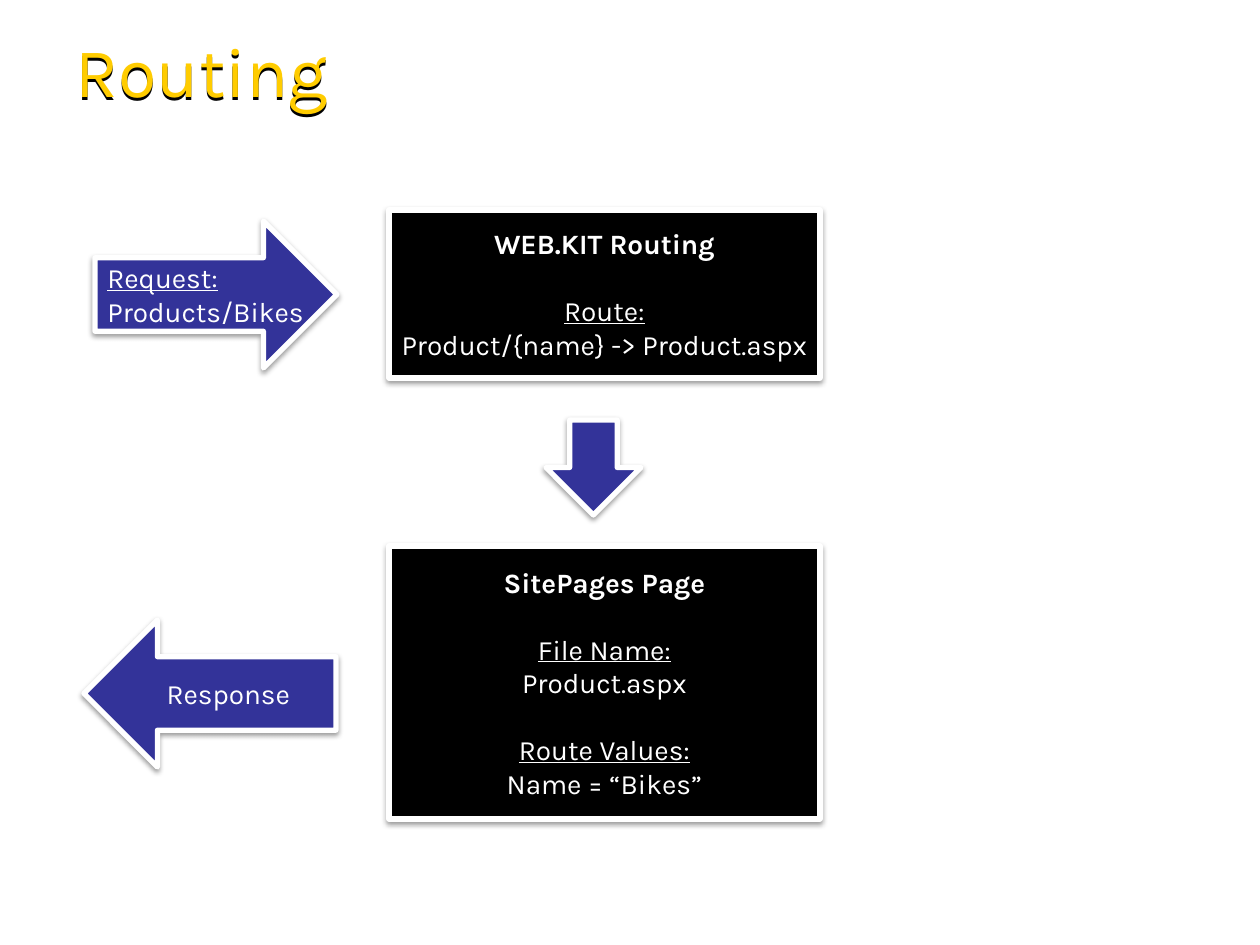
from lxml import etree
from pptx import Presentation, util as u
from pptx.dml.color import RGBColor
from pptx.enum import shapes, text
from pptx.oxml.ns import qn

PX = 914400 // 126
COLORS = {"title": "FFCC00", "arrow": "333399", "box": "000000",
          "light": "FFFFFF", "shadow": "000000"}
KIND = shapes.MSO_SHAPE


def rgb(name):
    return RGBColor.from_string(COLORS[name])


def add_shadow(part, blur, distance, opacity):
    effects = etree.SubElement(part._element.spPr, qn("a:effectLst"))
    shadow = etree.SubElement(effects, qn("a:outerShdw"), blurRad=str(u.Pt(blur)),
                              dist=str(u.Pt(distance)), dir="5400000",
                              algn="ctr", rotWithShape="0")
    color = etree.SubElement(shadow, qn("a:srgbClr"), val=COLORS["shadow"])
    etree.SubElement(color, qn("a:alpha"), val=str(opacity * 1000))


deck = Presentation()
deck.slide_width, deck.slide_height = 1260 * PX, 945 * PX
slide = deck.slides.add_slide(deck.slide_layouts[5])

title = slide.shapes.title
title.left, title.top, title.width, title.height = [n * PX for n in (63, 21, 1134, 82)]
title.fill.background()
title.line.fill.background()
add_shadow(title, 0, 1.5, 100)
heading = title.text_frame
heading.text = "Routing"
heading.vertical_anchor = text.MSO_ANCHOR.TOP
heading.margin_top = 7 * PX
heading.auto_size = text.MSO_AUTO_SIZE.NONE
line = heading.paragraphs[0]
line.alignment = text.PP_ALIGN.LEFT
line.font.name, line.font.size = "Karla", u.Pt(40)
line.font.color.rgb = rgb("title")

LEFT, CENTER = text.PP_ALIGN.LEFT, text.PP_ALIGN.CENTER
steps = [
    (KIND.RIGHT_ARROW, "arrow", (95, 221, 242, 147), LEFT,
     [("Request:", "label"), ("Products/Bikes", "value")]),
    (KIND.RECTANGLE, "box", (389, 210, 431, 168), CENTER,
     [("WEB.KIT Routing", "heading"), ("Route:", "label"),
      ("Product/{name} -> Product.aspx", "value")]),
    (KIND.RECTANGLE, "box", (389, 546, 431, 273), CENTER,
     [("SitePages Page", "heading"), ("File Name:", "label"), ("Product.aspx", "value"),
      ("Route Values:", "label"), ("Name = “Bikes”", "value")]),
    (KIND.LEFT_ARROW, "arrow", (84, 620, 252, 147), CENTER, [("Response", "value")]),
    (KIND.DOWN_ARROW, "arrow", (546, 420, 95, 95), CENTER, []),
]

for kind, color, place, alignment, lines in steps:
    step = slide.shapes.add_shape(kind, *[n * PX for n in place])
    step.fill.solid()
    step.fill.fore_color.rgb = rgb(color)
    step.line.color.rgb = rgb("light")
    step.line.width = u.Pt(3)
    add_shadow(step, 3.1, 1.6, 38)
    frame = step.text_frame
    frame.word_wrap = False
    frame.vertical_anchor = text.MSO_ANCHOR.MIDDLE
    for index, (words, role) in enumerate(lines):
        paragraph = frame.add_paragraph() if index else frame.paragraphs[0]
        paragraph.text = words
        paragraph.alignment = alignment
        if index and role == "label":
            paragraph.space_before = u.Pt(19)
        font = paragraph.font
        font.name, font.size = "Karla", u.Pt(16)
        font.color.rgb = rgb("light")
        font.bold = role == "heading"
        font.underline = role == "label"

deck.save("out.pptx")
